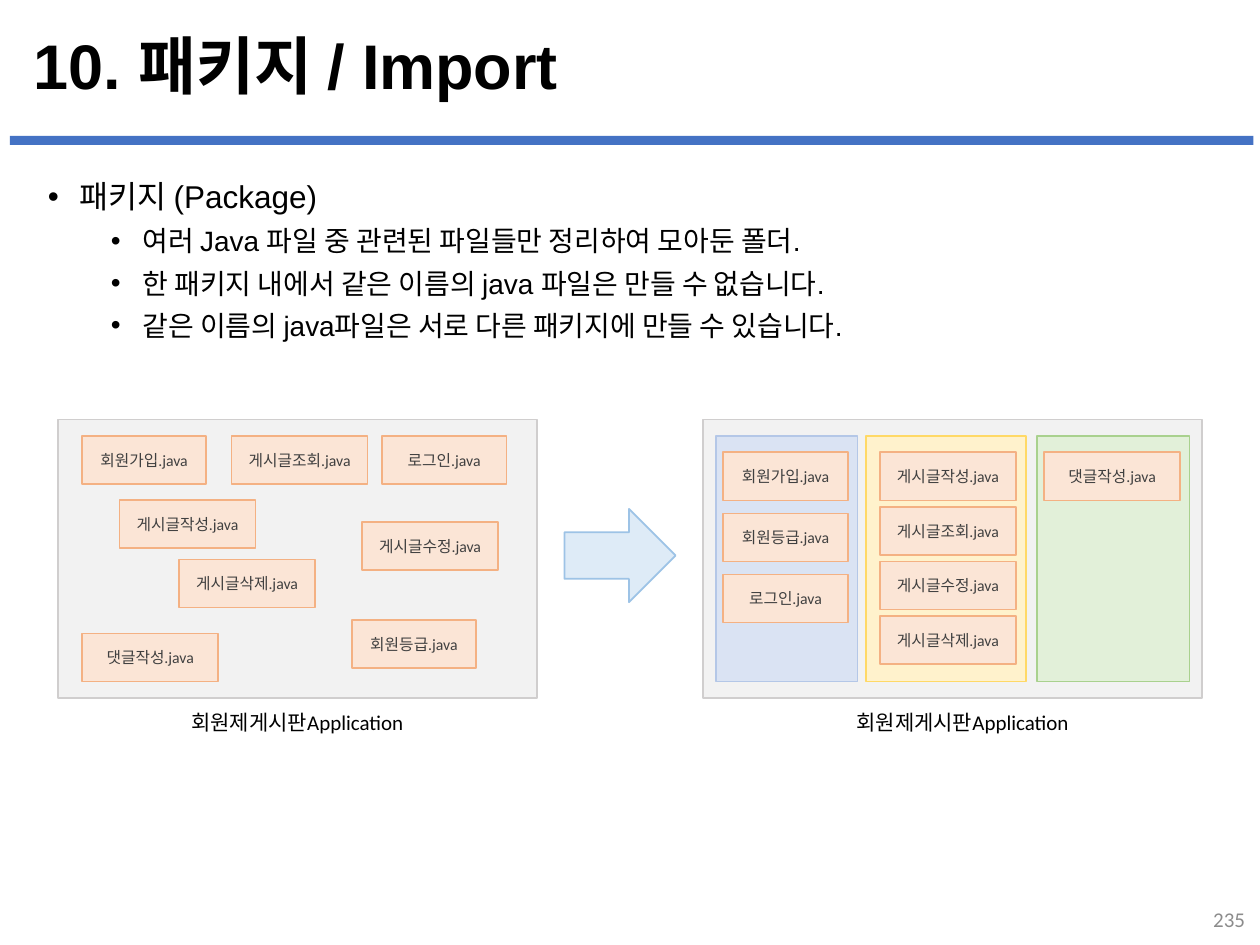
from lxml.etree import SubElement
from pptx import Presentation
from pptx.dml.color import RGBColor
from pptx.enum.shapes import MSO_SHAPE as Shape
from pptx.enum.text import MSO_ANCHOR as Anchor, MSO_AUTO_SIZE as AutoSize, PP_ALIGN as Align
from pptx.oxml.ns import qn
from pptx.util import Cm, Pt


def style_text(para, size, color, font="Calibri", align=Align.CENTER, bold=False):
    para.alignment = align
    para.font.size = Pt(size)
    para.font.name = font
    para.font.bold = bold
    para.font.color.rgb = RGBColor.from_string(color)


def add_block(shapes, kind, place, fill, line=None, label=None):
    block = shapes.add_shape(kind, *map(Cm, place))
    block.shadow.inherit = False
    block.fill.solid()
    block.fill.fore_color.rgb = RGBColor.from_string(fill)
    if line:
        block.line.color.rgb = RGBColor.from_string(line)
        block.line.width = Pt(1)
    else:
        block.line.fill.background()
    if label:
        block.text_frame.text = label
        block.text_frame.vertical_anchor = Anchor.MIDDLE
        style_text(block.text_frame.paragraphs[0], 9, "404040")


deck = Presentation()
deck.slide_width, deck.slide_height = Cm(25.4), Cm(19.05)
page = deck.slides.add_slide(deck.slide_layouts[1])
add_block(page.shapes, Shape.RECTANGLE, (0.2, 2.74, 25.07, 0.18), "4472C4")

title, body = page.placeholders
title.left, title.top, title.width, title.height = Cm(0.43), Cm(0.56), Cm(24.54), Cm(1.68)
title.text_frame.text = "10. 패키지 / Import"
title.text_frame.auto_size = AutoSize.NONE
title.text_frame.vertical_anchor = Anchor.MIDDLE
title.text_frame.paragraphs[0].line_spacing = 0.9
style_text(title.text_frame.paragraphs[0], 36, "000000", "Arial", Align.LEFT, True)

body.left, body.top, body.width, body.height = Cm(0.71), Cm(3.45), Cm(23.88), Cm(15.21)
body.text_frame.auto_size = AutoSize.NONE
points = [
    (0, "패키지 (Package)"),
    (1, "여러 Java 파일 중 관련된 파일들만 정리하여 모아둔 폴더."),
    (1, "한 패키지 내에서 같은 이름의 java 파일은 만들 수 없습니다."),
    (1, "같은 이름의 java파일은 서로 다른 패키지에 만들 수 있습니다."),
]
body.text_frame.text = "\n".join(text for level, text in points)
for para, (level, text) in zip(body.text_frame.paragraphs, points):
    para.level = level
    para.space_before = Pt(5 * level)
    props = para._p.get_or_add_pPr()
    props.set("marL", str(Cm(0.64 + 1.27 * level)))
    props.set("indent", str(Cm(-0.64)))
    SubElement(props, qn("a:buFont"), typeface="Arial")
    SubElement(props, qn("a:buChar"), char="•")
    style_text(para, 18 - 2 * level, "000000", "Arial", Align.LEFT)

NARROW, WIDE, CARD_HEIGHT = 2.51, 2.74, 0.97
PANEL_TOP, LANE_TOP, CARD_TOP = 8.46, 8.79, 9.12

scattered = [
    ("회원가입", 1.65, 8.79, NARROW),
    ("회원등급", 7.09, 12.5, NARROW),
    ("게시글작성", 2.41, 10.08, WIDE),
    ("게시글수정", 7.3, 10.52, WIDE),
    ("게시글삭제", 3.61, 11.28, WIDE),
    ("로그인", 7.7, 8.79, NARROW),
    ("댓글작성", 1.66, 12.77, WIDE),
    ("게시글조회", 4.67, 8.79, WIDE),
]
lanes = [
    (14.44, 2.85, "DAE3F3", "B4C7E7", 14.58, NARROW, 1.23, ["회원가입", "회원등급", "로그인"]),
    (17.46, 3.23, "FFF2CC", "FFD966", 17.74, WIDE, 1.1,
     ["게시글작성", "게시글조회", "게시글수정", "게시글삭제"]),
    (20.91, 3.07, "E2F0D9", "A9D18E", 21.05, WIDE, 1.1, ["댓글작성"]),
]
sorted_cards = [
    (name, card_left, CARD_TOP + row * pitch, width)
    for *_, card_left, width, pitch, names in lanes
    for row, name in enumerate(names)
]

for left, width, caption_left, columns, cards in [
    (1.17, 9.65, 3.48, [], scattered),
    (14.17, 10.06, 16.89, lanes, sorted_cards),
]:
    panel = page.shapes.add_group_shape().shapes
    add_block(panel, Shape.RECTANGLE, (left, PANEL_TOP, width, 5.61), "F2F2F2", "D0CECE")
    for lane_left, lane_width, fill, line, *_ in columns:
        add_block(panel, Shape.RECTANGLE, (lane_left, LANE_TOP, lane_width, 4.95), fill, line)
    for name, card_left, card_top, card_width in cards:
        add_block(panel, Shape.RECTANGLE, (card_left, card_top, card_width, CARD_HEIGHT),
                  "FBE5D6", "F4B183", name + ".java")
    caption = panel.add_textbox(Cm(caption_left), Cm(14.17), Cm(5.03), Cm(0.77))
    caption.text_frame.text = "회원제게시판Application"
    caption.text_frame.word_wrap = False
    caption.text_frame.auto_size = AutoSize.SHAPE_TO_FIT_TEXT
    style_text(caption.text_frame.paragraphs[0], 12, "000000")

add_block(page.shapes, Shape.RIGHT_ARROW, (11.38, 10.26, 2.24, 1.88), "DEEBF7", "9DC3E6")

number = page.shapes.add_textbox(Cm(19.63), Cm(18.01), Cm(5.72), Cm(1.02))
number.text_frame.text = "235"
number.text_frame.word_wrap = True
number.text_frame.vertical_anchor = Anchor.MIDDLE
style_text(number.text_frame.paragraphs[0], 12, "8C8C8C", align=Align.RIGHT)

deck.save("out.pptx")
